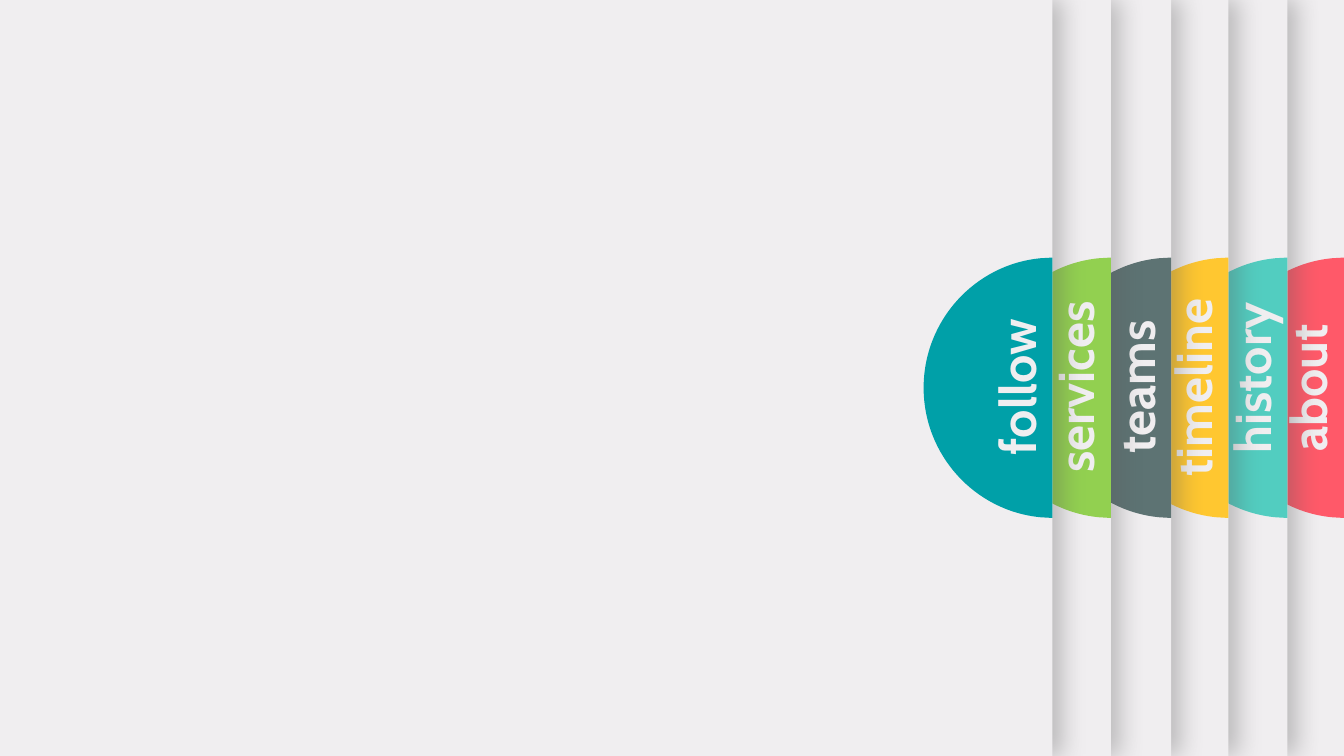
from dataclasses import dataclass

from lxml.etree import SubElement
from pptx import Presentation
from pptx.dml.color import RGBColor
from pptx.enum.shapes import MSO_SHAPE
from pptx.enum.text import MSO_ANCHOR, MSO_AUTO_SIZE, PP_ALIGN
from pptx.oxml.ns import qn
from pptx.util import Pt

SLIDE_WIDTH, SLIDE_HEIGHT = 960, 540
TAB_MIDDLE = 277
LABEL_WIDTH, LABEL_HEIGHT, LABEL_INSET = 157, 51, 25.5

# Offsets from the middle of a tab's flat side: three corners, then two curves
TAB_CORNERS = [(0, -93), (0, 93), (-8.5, 92.5)]
TAB_CURVES = [(-55.5, 88), (-92, 48), (-92, 0),
              (-92, -48), (-55.5, -88), (-8.5, -92.5)]

# label, tab colour, panel left, panel right, label middle; back to front
PANELS = [
    ("about", "FF5969", 0, 960, 277),
    ("history", "52CDC0", 18, 919.5, 270),
    ("timeline", "FFC730", 93, 877.5, 277),
    ("teams", "5D7373", 83, 836.5, 276.5),
    ("services", "92D050", 0, 793.5, 276.5),
    ("follow", "00A0A8", 0, 751.75, 276.5),
]


@dataclass(frozen=True)
class Theme:
    paper: str = "F0EEF0"
    shadow: str = "595959"
    font: str = "Cabin"
    label_size: int = 36


class PanelBuilder:
    def __init__(self, slide, theme):
        self.slide = slide
        self.theme = theme
        self.paint(slide.background.fill, theme.paper)

    def paint(self, fill, colour):
        fill.solid()
        fill.fore_color.rgb = RGBColor.from_string(colour)

    def add_shadow(self, shape):
        """Cast a soft shadow to the right of the shape."""
        effects = shape._element.spPr.find(qn("a:effectLst"))
        shadow = SubElement(effects, qn("a:outerShdw"), blurRad=str(Pt(17)),
                            dist=str(Pt(3)), dir="0", sx="100500", sy="100000",
                            algn="l", rotWithShape="0")
        colour = SubElement(shadow, qn("a:srgbClr"), val=self.theme.shadow)
        SubElement(colour, qn("a:alpha"), val="35000")

    def add_sheet(self, shapes, left, right):
        sheet = shapes.add_shape(MSO_SHAPE.RECTANGLE, Pt(left), Pt(0),
                                 Pt(right - left), Pt(SLIDE_HEIGHT))
        self.paint(sheet.fill, self.theme.paper)
        sheet.line.fill.background()
        sheet.shadow.inherit = False
        self.add_shadow(sheet)

    def add_tab(self, shapes, right, colour):
        """Draw a half disc whose flat side lies on the panel's right edge."""
        points = [(Pt(right + across), Pt(TAB_MIDDLE + down))
                  for across, down in TAB_CORNERS + TAB_CURVES]
        builder = shapes.build_freeform(*points[0])
        builder.add_line_segments(points[1:], close=True)
        tab = builder.convert_to_shape()
        self.bend_lines(tab)
        tab.shadow.inherit = False
        self.paint(tab.fill, colour)
        tab.line.fill.background()

    def bend_lines(self, tab):
        """Turn each three lines after the corners into one Bézier curve."""
        outline = next(tab._element.iter(qn("a:path")))
        lines = outline.findall(qn("a:lnTo"))[len(TAB_CORNERS) - 1:]
        for start in range(0, len(lines), 3):
            curve = SubElement(outline, qn("a:cubicBezTo"))
            lines[start].addprevious(curve)
            for line in lines[start:start + 3]:
                curve.append(line[0])
                outline.remove(line)

    def add_label(self, shapes, text, centre, middle):
        box = shapes.add_textbox(Pt(centre - LABEL_WIDTH / 2), Pt(middle - LABEL_HEIGHT / 2),
                                 Pt(LABEL_WIDTH), Pt(LABEL_HEIGHT))
        box.rotation = 270
        frame = box.text_frame
        frame.text = text
        frame.word_wrap = True
        frame.auto_size = MSO_AUTO_SIZE.SHAPE_TO_FIT_TEXT
        frame.vertical_anchor = MSO_ANCHOR.TOP
        paragraph = frame.paragraphs[0]
        paragraph.alignment = PP_ALIGN.CENTER
        font = paragraph.runs[0].font
        font.name = self.theme.font
        font.size = Pt(self.theme.label_size)
        font.bold = True
        font.color.rgb = RGBColor.from_string(self.theme.paper)

    def add_panel(self, text, colour, left, right, label_middle):
        shapes = self.slide.shapes.add_group_shape().shapes
        self.add_sheet(shapes, left, right)
        self.add_tab(shapes, right, colour)
        self.add_label(shapes, text, right - LABEL_INSET, label_middle)


def main():
    presentation = Presentation()
    presentation.slide_width = Pt(SLIDE_WIDTH)
    presentation.slide_height = Pt(SLIDE_HEIGHT)
    slide = presentation.slides.add_slide(presentation.slide_layouts[6])
    builder = PanelBuilder(slide, Theme())
    for panel in PANELS:
        builder.add_panel(*panel)
    presentation.save("out.pptx")


if __name__ == "__main__":
    main()
